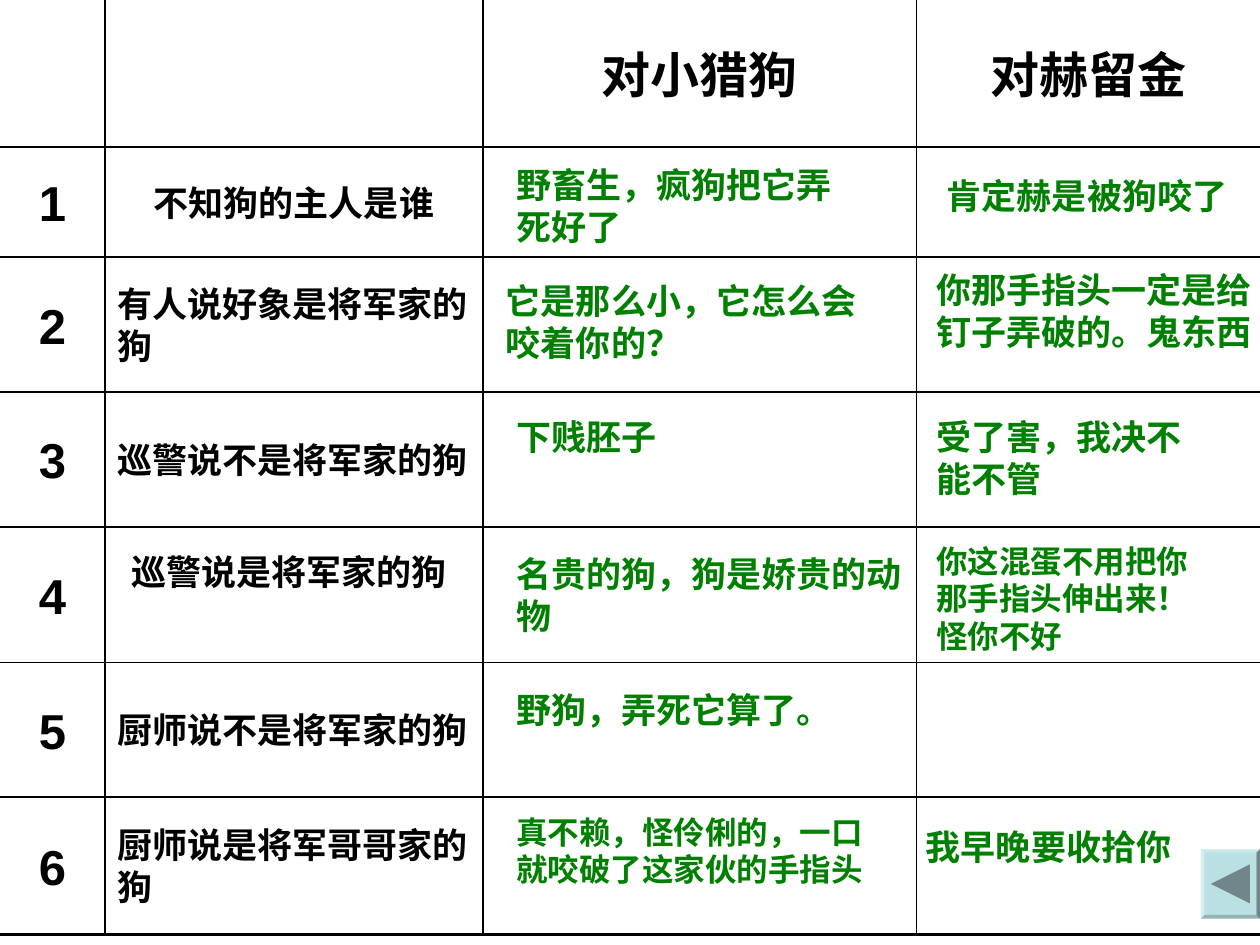
from itertools import accumulate

from lxml.etree import SubElement
from pptx import Presentation
from pptx.dml.color import RGBColor
from pptx.enum.shapes import MSO_CONNECTOR, MSO_SHAPE
from pptx.enum.text import MSO_ANCHOR, PP_ALIGN
from pptx.oxml.ns import qn
from pptx.util import Inches, Pt

BLACK = RGBColor(0x00, 0x00, 0x00)
GREEN = RGBColor(0x00, 0x80, 0x00)
PALE_BLUE = RGBColor(0xBB, 0xE0, 0xE3)
GREY_BLUE = RGBColor(0x70, 0x86, 0x88)

COLUMN_EDGES = list(accumulate([0, 10, 36, 41.3, 32.7]))
ROW_EDGES = list(accumulate([0, 14, 10.5, 12.8, 12.9, 12.9, 12.8, 13.1]))
HEADINGS = ["对小猎狗", "对赫留金"]
SITUATIONS = [
    "不知狗的主人是谁",
    "有人说好象是将军家的狗",
    "巡警说不是将军家的狗",
    "巡警说是将军家的狗",
    "厨师说不是将军家的狗",
    "厨师说是将军哥哥家的狗",
]
REMARKS = [
    (48, 15, 33, 2, 20, "野畜生，疯狗把它弄死好了"),
    (89, 16, 31, 1, 20, "肯定赫是被狗咬了"),
    (47, 26, 38, 2, 20, "它是那么小，它怎么会咬着你的？"),
    (88, 25, 35, 2, 20, "你那手指头一定是给钉子弄破的。鬼东西"),
    (48, 39, 37, 1, 20, "下贱胚子"),
    (88, 39, 29, 2, 20, "受了害，我决不能不管"),
    (48, 52, 40, 2, 20, "名贵的狗，狗是娇贵的动物"),
    (88, 51, 28, 3, 18, "你这混蛋不用把你那手指头伸出来！怪你不好"),
    (48, 65, 38, 1, 20, "野狗，弄死它算了。"),
    (48, 76.8, 37, 2, 18, "真不赖，怪伶俐的，一口就咬破了这家伙的手指头"),
    (87, 78, 33, 1, 20, "我早晚要收拾你"),
]


class SlideBuilder:
    cell_font = "Arial"
    remark_font = "Times New Roman"

    def __init__(self, slide):
        self.slide = slide

    def grid(self, units):
        return Inches(units / 12)

    def text(self, left, top, width, height, text, size, name, color):
        shape = self.slide.shapes.add_textbox(
            self.grid(left), self.grid(top), self.grid(width), self.grid(height))
        shape.text_frame.word_wrap = True
        shape.text_frame.text = text
        for run in shape.text_frame.paragraphs[0].runs:
            run.font.size = Pt(size)
            run.font.name = name
            run.font.bold = True
            run.font.color.rgb = color
        return shape.text_frame

    def cell(self, row, column, text, size, alignment=PP_ALIGN.CENTER):
        left, right = COLUMN_EDGES[column:column + 2]
        top, bottom = ROW_EDGES[row:row + 2]
        text_frame = self.text(
            left, top, right - left, bottom - top, text, size, self.cell_font, BLACK)
        text_frame.vertical_anchor = MSO_ANCHOR.MIDDLE
        text_frame.paragraphs[0].alignment = alignment
        return text_frame

    def remark(self, left, top, width, lines, size, text):
        height = 1.2 + lines * size / 5
        self.text(left, top, width, height, text, size, self.remark_font, GREEN)

    def rule(self, start_x, start_y, end_x, end_y, width=1):
        line = self.slide.shapes.add_connector(
            MSO_CONNECTOR.STRAIGHT, self.grid(start_x), self.grid(start_y),
            self.grid(end_x), self.grid(end_y))
        line.line.color.rgb = BLACK
        line.line.width = Pt(width)
        SubElement(line._element.spPr, qn("a:effectLst"))

    def paint(self, shape, color):
        shape.shadow.inherit = False
        shape.fill.solid()
        shape.fill.fore_color.rgb = color
        shape.line.fill.background()

    def back_button(self, left, top, width, height):
        button = self.slide.shapes.add_shape(
            MSO_SHAPE.BEVEL, Inches(left), Inches(top), Inches(width), Inches(height))
        button.adjustments[0] = 0.06
        self.paint(button, PALE_BLUE)
        middle = top + height / 2
        tip, base, half = left + 0.08, left + 0.39, 0.155
        builder = self.slide.shapes.build_freeform(Inches(tip), Inches(middle))
        builder.add_line_segments([
            (Inches(base), Inches(middle - half)),
            (Inches(base), Inches(middle + half)),
        ])
        self.paint(builder.convert_to_shape(), GREY_BLUE)


def main():
    presentation = Presentation()
    presentation.slide_width = Inches(10)
    presentation.slide_height = Inches(7.5)
    builder = SlideBuilder(presentation.slides.add_slide(presentation.slide_layouts[6]))

    for column, heading in enumerate(HEADINGS, start=2):
        builder.cell(0, column, heading, 28)
    for row, situation in enumerate(SITUATIONS, start=1):
        builder.cell(row, 0, str(row), 28)
        alignment = PP_ALIGN.CENTER if row == 1 else PP_ALIGN.LEFT
        text_frame = builder.cell(row, 1, situation, 20, alignment)
        if row == 4:
            text_frame.margin_left = Inches(0.21)
            text_frame.margin_bottom = Inches(0.42)

    right, bottom = COLUMN_EDGES[-1], ROW_EDGES[-1]
    for edge in ROW_EDGES[1:]:
        builder.rule(0, edge, right, edge, 2.25 if edge == bottom else 1)
    for edge in COLUMN_EDGES[1:-1]:
        builder.rule(edge, 0, edge, bottom)

    for remark in REMARKS:
        builder.remark(*remark)
    builder.back_button(9.53, 6.74, 0.47, 0.55)
    presentation.save("out.pptx")


if __name__ == "__main__":
    main()
